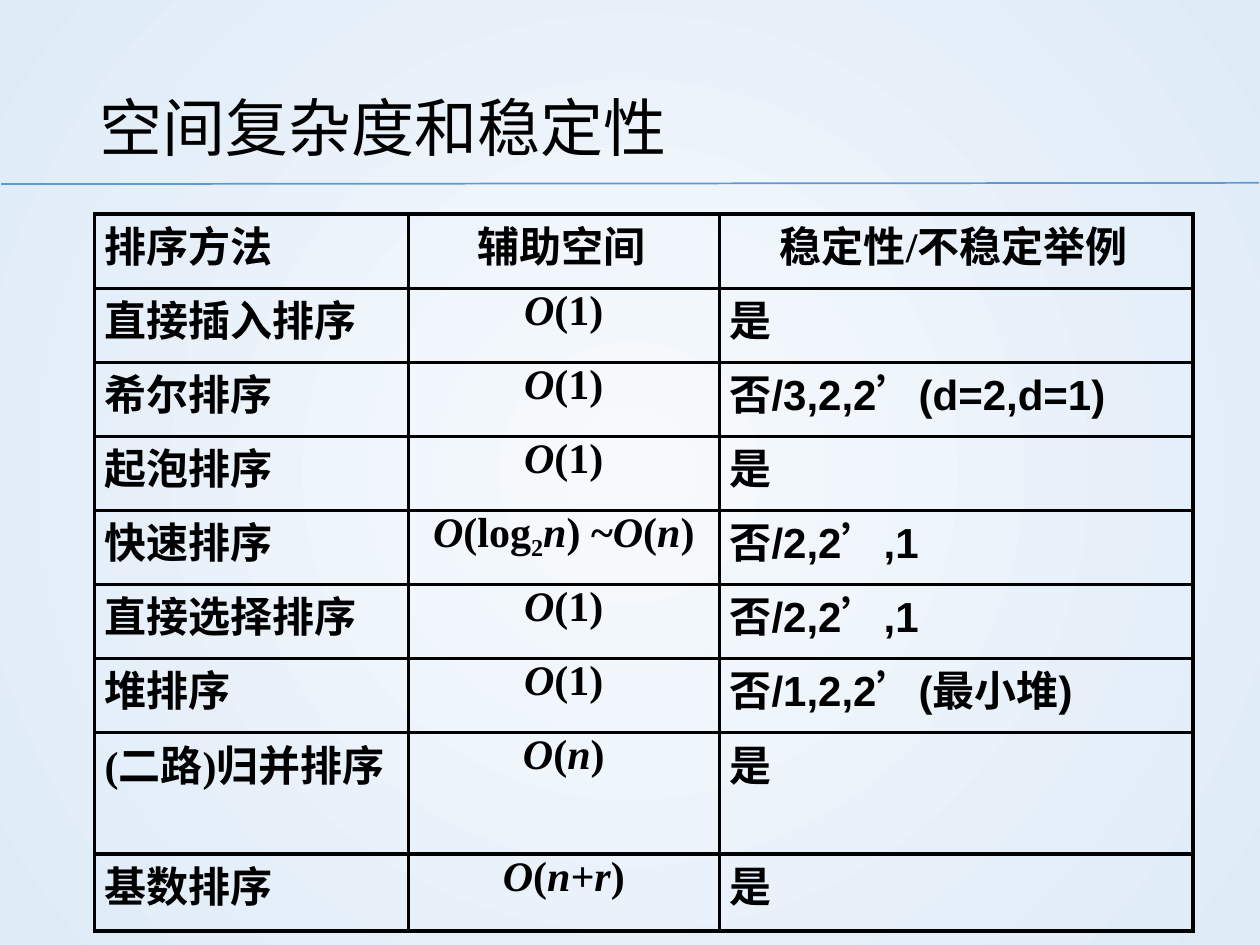
from dataclasses import dataclass
from itertools import groupby

from lxml import etree
from pptx import Presentation
from pptx.dml.color import RGBColor as RGB
from pptx.enum.lang import MSO_LANGUAGE_ID as LANG
from pptx.enum.shapes import MSO_CONNECTOR as CONN
from pptx.enum.text import MSO_ANCHOR as ANCHOR, PP_ALIGN as ALIGN
from pptx.oxml import parse_xml
from pptx.oxml.ns import nsdecls, qn
from pptx.util import Pt


@dataclass(frozen=True)
class Theme:
    ink: str = "000000"
    rule: str = "5B9BD5"
    bg_inner: str = "F7FAFD"
    bg_outer: str = "DEEBF7"
    title_size: float = 36
    body_size: float = 24
    border: float = 2.25
    cjk: str = "Noto Sans CJK SC"
    sans: str = "Arial"
    serif: str = "Times New Roman"


T = Theme()
PAD = 5.8
COLS = [179.3, 177.8, 270.7]
ROWS = [42.3] * 7 + [69.6, 43.9]
HEADER = [("排序方法", PAD), ("辅助空间", 39.6), ("稳定性/不稳定举例", 34.6)]
METHODS = [
    ("直接插入排序", "O(1)", "是"),
    ("希尔排序", "O(1)", "否/3,2,2’(d=2,d=1)"),
    ("起泡排序", "O(1)", "是"),
    ("快速排序", "O(log2n) ~O(n)", "否/2,2’,1"),
    ("直接选择排序", "O(1)", "否/2,2’,1"),
    ("堆排序", "O(1)", "否/1,2,2’(最小堆)"),
    ("(二路)归并排序", "O(n)", "是"),
    ("基数排序", "O(n+r)", "是"),
]


def add_run(p, text, font=T.cjk, size=T.body_size, bold=True, italic=False, sub=False):
    r = p.add_run()
    r.text = text
    f = r.font
    f.name, f.size, f.bold, f.italic = font, Pt(size), bold, italic
    f.color.rgb = RGB.from_string(T.ink)
    f.language_id = LANG.SIMPLIFIED_CHINESE
    rPr = r._r.get_or_add_rPr()
    if sub:
        rPr.set("baseline", "-21000")
    latin = rPr.find(qn("a:latin"))
    ea = etree.Element(qn("a:ea"), typeface=T.cjk)
    latin.addnext(ea)


def add_mixed(p, text, latin, indent=PAD, bold=True):
    p._p.get_or_add_pPr().set("marL", str(Pt(indent)))
    for wide, chars in groupby(text, lambda c: c >= "⺀" or c == "’"):
        add_run(p, "".join(chars), T.cjk if wide else latin, bold=bold)


def add_formula(p, text):
    p.alignment = ALIGN.CENTER
    for (italic, sub), chars in groupby(text, lambda c: (c in "Onr+", c == "2")):
        add_run(p, "".join(chars), T.serif, italic=italic, sub=sub)


def set_background(s):
    stops = "".join(
        f'<a:gs pos="{pos}"><a:srgbClr val="{color}"/></a:gs>'
        for pos, color in ((0, T.bg_inner), (100000, T.bg_outer))
    )
    s.background.fill.solid()
    solid = s._element.cSld.find(".//" + qn("a:solidFill"))
    solid.getparent().replace(solid, parse_xml(
        f'<a:gradFill {nsdecls("a")} rotWithShape="1"><a:gsLst>{stops}</a:gsLst>'
        '<a:path path="circle"><a:fillToRect l="50000" t="50000" r="50000" b="50000"/>'
        "</a:path></a:gradFill>"
    ))


def add_rule(s):
    line = s.shapes.add_connector(CONN.STRAIGHT, Pt(0.7), Pt(105.2), Pt(719.3), Pt(104.5))
    line.line.color.rgb = RGB.from_string(T.rule)
    line.line.width = Pt(1)
    etree.SubElement(line._element.spPr, qn("a:effectLst"))


def add_title(s, text):
    sp = s.shapes.add_textbox(Pt(49.7), Pt(28.8), Pt(620.6), Pt(77.8))
    tf = sp.text_frame
    tf.word_wrap = True
    tf.vertical_anchor = ANCHOR.MIDDLE
    p = tf.paragraphs[0]
    p.line_spacing = 1.2
    add_run(p, text, T.sans, T.title_size, bold=False)


def style_cell(cell):
    cell.margin_left = cell.margin_right = cell.margin_top = cell.margin_bottom = 0
    cell.fill.background()
    tcPr = cell._tc.get_or_add_tcPr()
    for i, side in enumerate(("lnL", "lnR", "lnT", "lnB")):
        tcPr.insert(i, parse_xml(
            f'<a:{side} {nsdecls("a")} w="{Pt(T.border)}"><a:solidFill>'
            f'<a:srgbClr val="{T.ink}"/></a:solidFill></a:{side}>'
        ))


def add_methods_table(s):
    frame = s.shapes.add_table(len(ROWS), len(COLS), Pt(54), Pt(122.4),
                               Pt(sum(COLS)), Pt(sum(ROWS)))
    table = frame.table
    table.first_row = table.horz_banding = False
    for col, width in zip(table.columns, COLS):
        col.width = Pt(width)
    for row, height in zip(table.rows, ROWS):
        row.height = Pt(height)
    for cell in table.iter_cells():
        style_cell(cell)

    def para(row, col):
        return table.cell(row, col).text_frame.paragraphs[0]

    for j, (text, indent) in enumerate(HEADER):
        add_mixed(para(0, j), text, T.serif, indent)
    for i, (method, space, stability) in enumerate(METHODS, 1):
        add_mixed(para(i, 0), method, T.serif)
        add_formula(para(i, 1), space)
        add_mixed(para(i, 2), stability, T.sans)


def main():
    prs = Presentation()
    prs.slide_width, prs.slide_height = Pt(720), Pt(540)
    s = prs.slides.add_slide(prs.slide_layouts[6])
    set_background(s)
    add_rule(s)
    add_title(s, "空间复杂度和稳定性")
    add_methods_table(s)
    prs.save("out.pptx")


if __name__ == "__main__":
    main()
